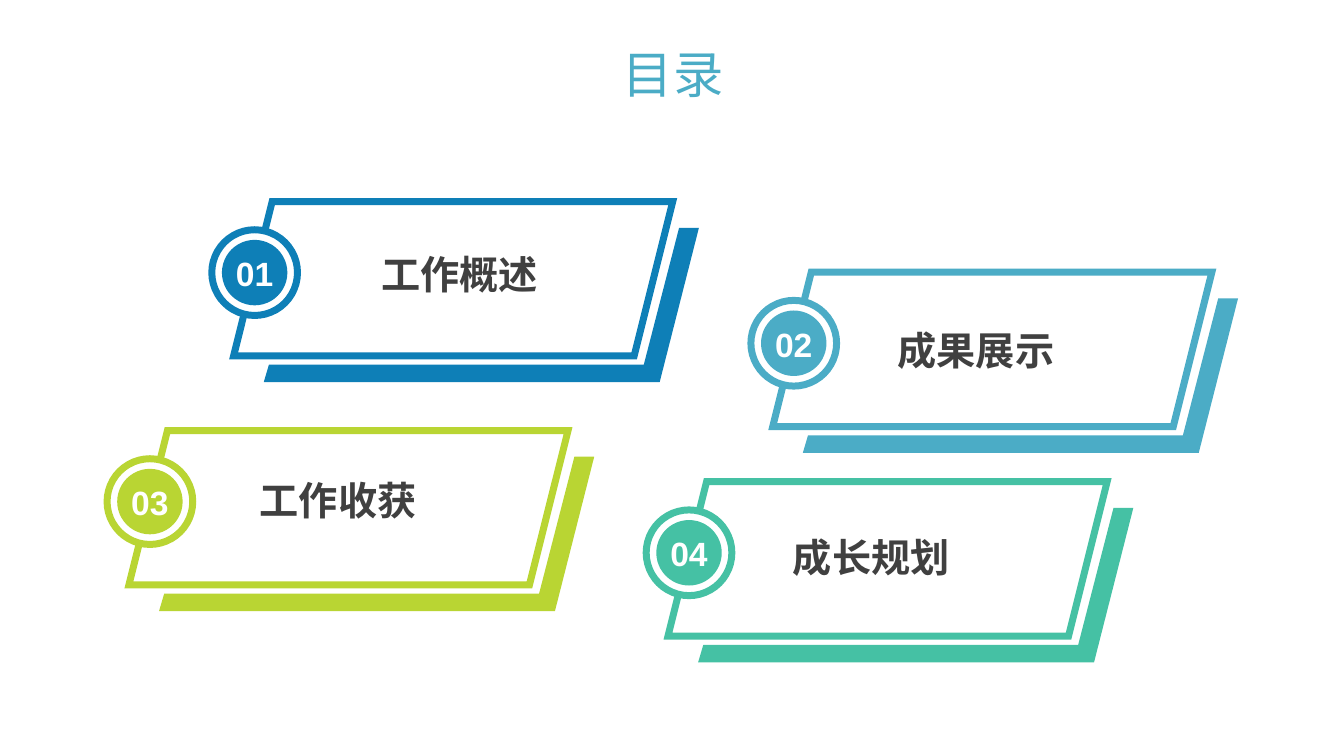
from lxml import etree
from pptx import Presentation
from pptx import util as u
from pptx.dml.color import RGBColor
from pptx.enum import shapes, text
from pptx.oxml.ns import qn

COLORS = {"blue": "0E7FB7", "sky": "4BACC6", "lime": "B9D533", "teal": "45C1A4",
          "white": "FFFFFF", "dark": "404040"}
LATIN_FONT, CHINESE_FONT = "Arial", "Noto Sans CJK SC"

# Lengths are centimetres
SLIDE_SIZE = (33.88, 19.05)
TITLE = {"text": "目录", "box": (0.89, 0.94, 32.16, 2.01)}
SECTIONS = [
    {"label": "工作概述", "color": "blue", "card": (5.89, 5.08), "label_at": (9.37, 6.17)},
    {"label": "成果展示", "color": "sky", "card": (19.48, 6.86), "label_at": (22.38, 8.08)},
    {"label": "工作收获", "color": "lime", "card": (3.25, 10.85), "label_at": (6.3, 11.86)},
    {"label": "成长规划", "color": "teal", "card": (16.84, 12.14), "label_at": (19.74, 13.31)},
]
CARD_SIZE = (11.07, 3.89)
LABEL_SIZE = (7.82, 1.45)
NUMBER_SIZE = (1.6, 1.27)
NUMBER_TOP = 1.17
BADGE_CENTER = (0.53, 1.79)
RING_DIAMETER, DISC_DIAMETER = 2.16, 1.65
EDGE_POINTS = [(11.23, 0.66), (11.73, 0.66), (10.74, 4.55),
               (0.76, 4.55), (0.89, 4.11), (10.34, 4.11)]
OUTLINE_WIDTH = 5


def rgb(name):
    return RGBColor.from_string(COLORS[name])


def paint(shape, fill, outline=None):
    shape.shadow.inherit = False
    shape.fill.solid()
    shape.fill.fore_color.rgb = rgb(fill)
    if outline is None:
        shape.line.fill.background()
        return
    shape.line.color.rgb = rgb(outline)
    shape.line.width = u.Pt(OUTLINE_WIDTH)
    line = shape.line.fill._xPr
    etree.SubElement(line, qn("a:miter"), lim="800000")


def add_preset(slide, kind, box, fill, outline=None):
    shape = slide.shapes.add_shape(kind, *map(u.Cm, box))
    paint(shape, fill, outline)


def add_edge(slide, left, top, color):
    """Draw the solid L-shaped strip along a card's right and bottom sides."""
    points = [(u.Cm(left + x), u.Cm(top + y)) for x, y in EDGE_POINTS]
    builder = slide.shapes.build_freeform(*points[0])
    builder.add_line_segments(points[1:], close=True)
    paint(builder.convert_to_shape(), color)


def write(shape, words, color, frame_format, paragraph_format, font_format):
    frame = shape.text_frame
    frame.text = words
    paragraph = frame.paragraphs[0]
    font = paragraph.runs[0].font
    for target, values in ((frame, frame_format), (paragraph, paragraph_format),
                           (font, font_format)):
        for name, value in values.items():
            setattr(target, name, value)
    font.color.rgb = rgb(color)
    east_asian = etree.Element(qn("a:ea"), typeface=CHINESE_FONT)
    font._element.find(qn("a:latin")).addnext(east_asian)


def add_title(slide):
    title = slide.shapes.title
    for name, value in zip(("left", "top", "width", "height"), TITLE["box"]):
        setattr(title, name, u.Cm(value))
    write(title, TITLE["text"], "sky",
          {"vertical_anchor": text.MSO_ANCHOR.MIDDLE, "word_wrap": True,
           "auto_size": text.MSO_AUTO_SIZE.NONE},
          {"alignment": text.PP_ALIGN.CENTER, "line_spacing": 0.9,
           "space_before": u.Pt(10)},
          {"name": CHINESE_FONT, "size": u.Pt(36), "bold": False})


def add_section(slide, number, section):
    left, top = section["card"]
    color = section["color"]
    kinds = shapes.MSO_SHAPE
    add_preset(slide, kinds.PARALLELOGRAM, (left, top, *CARD_SIZE), "white", color)
    add_edge(slide, left, top, color)

    center_x, center_y = left + BADGE_CENTER[0], top + BADGE_CENTER[1]
    for diameter, fill, outline in ((RING_DIAMETER, "white", color),
                                    (DISC_DIAMETER, color, None)):
        box = (center_x - diameter / 2, center_y - diameter / 2, diameter, diameter)
        add_preset(slide, kinds.OVAL, box, fill, outline)

    number_box = (center_x - NUMBER_SIZE[0] / 2, top + NUMBER_TOP, *NUMBER_SIZE)
    write(slide.shapes.add_textbox(*map(u.Cm, number_box)), f"{number:02}", "white",
          {"word_wrap": True, "margin_left": 0, "margin_right": 0},
          {"alignment": text.PP_ALIGN.CENTER},
          {"name": LATIN_FONT, "size": u.Pt(24), "bold": True})

    label_box = (*section["label_at"], *LABEL_SIZE)
    write(slide.shapes.add_textbox(*map(u.Cm, label_box)), section["label"], "dark",
          {"word_wrap": True, "vertical_anchor": text.MSO_ANCHOR.MIDDLE},
          {"alignment": text.PP_ALIGN.LEFT},
          {"name": LATIN_FONT, "size": u.Pt(28), "bold": True})


def main():
    presentation = Presentation()
    presentation.slide_width, presentation.slide_height = map(u.Cm, SLIDE_SIZE)
    slide = presentation.slides.add_slide(presentation.slide_layouts.get_by_name("Title Only"))
    add_title(slide)
    for number, section in enumerate(SECTIONS, start=1):
        add_section(slide, number, section)
    presentation.save("out.pptx")


if __name__ == "__main__":
    main()
